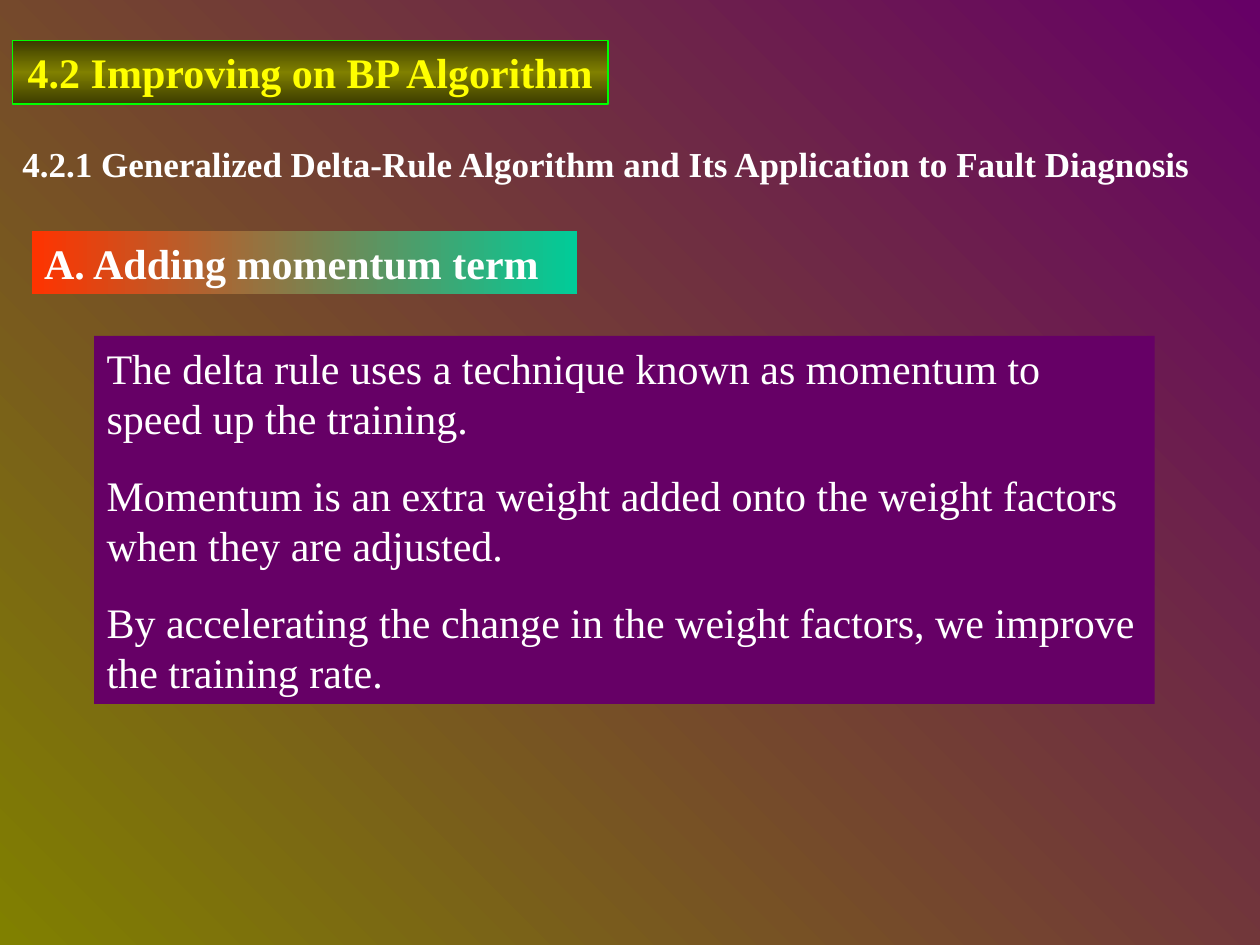
import copy

import pptx
import pptx.dml.color
import pptx.enum.shapes
import pptx.enum.text
import pptx.util

Cm = pptx.util.Cm
Pt = pptx.util.Pt
RGBColor = pptx.dml.color.RGBColor

OLIVE = RGBColor(0x80, 0x80, 0x00)
DARK_OLIVE = RGBColor(0x3B, 0x3B, 0x00)
PURPLE = RGBColor(0x66, 0x00, 0x66)
GREEN = RGBColor(0x00, 0xFF, 0x00)
YELLOW = RGBColor(0xFF, 0xFF, 0x00)
ORANGE = RGBColor(0xFF, 0x33, 0x00)
TEAL = RGBColor(0x00, 0xCC, 0x99)
WHITE = RGBColor(0xFF, 0xFF, 0xFF)


def set_gradient(fill, angle, colors):
    """Spread the colours evenly; the angle runs counter-clockwise."""
    fill.gradient()
    fill.gradient_angle = angle
    first = fill.gradient_stops[0]._gs
    for _ in colors[2:]:
        first.addnext(copy.deepcopy(first))
    for i, (stop, color) in enumerate(zip(fill.gradient_stops, colors)):
        stop.position = i / (len(colors) - 1)
        stop.color.rgb = color


def add_box(left, top, width, height, paragraphs, size, color=WHITE, bold=True):
    """Add a rectangle without fill or line that holds the paragraphs."""
    sp = s.shapes.add_shape(pptx.enum.shapes.MSO_SHAPE.RECTANGLE,
                            Cm(left), Cm(top), Cm(width), Cm(height))
    sp.shadow.inherit = False
    sp.fill.background()
    sp.line.fill.background()
    tf = sp.text_frame
    tf.word_wrap = True
    tf.auto_size = pptx.enum.text.MSO_AUTO_SIZE.SHAPE_TO_FIT_TEXT
    tf.vertical_anchor = pptx.enum.text.MSO_ANCHOR.TOP
    for i, text in enumerate(paragraphs):
        p = tf.add_paragraph() if i else tf.paragraphs[0]
        p.text = text
        p.alignment = pptx.enum.text.PP_ALIGN.LEFT
        if i:
            p.space_before = Pt(15)
        p.font.name = "Times New Roman"
        p.font.size = Pt(size)
        p.font.bold = bold
        p.font.color.rgb = color
    return sp


prs = pptx.Presentation()
prs.slide_width, prs.slide_height = Cm(25.4), Cm(19.05)
s = prs.slides.add_slide(prs.slide_layouts[6])

# Background
set_gradient(s.background.fill, 45, [OLIVE, PURPLE])

# Section title
sp = add_box(0.25, 0.82, 12.01, 1.28, ["4.2 Improving on BP Algorithm"], 24, YELLOW)
set_gradient(sp.fill, 270, [DARK_OLIVE, OLIVE, DARK_OLIVE])
sp.line.color.rgb = GREEN
sp.line.width = Pt(0.75)
sp.text_frame.word_wrap = False
sp.text_frame.paragraphs[0].alignment = pptx.enum.text.PP_ALIGN.CENTER

# Subsection title
add_box(0.2, 2.75, 24.56, 1.1,
        ["4.2.1 Generalized Delta-Rule Algorithm and Its Application to Fault Diagnosis"], 20)

# Explanation
sp = add_box(1.9, 6.77, 21.38, 7.42, [
    "The delta rule uses a technique known as momentum to speed up the training.",
    "Momentum is an extra weight added onto the weight factors when they are adjusted.",
    "By accelerating the change in the weight factors, we improve the training rate.",
], 24, bold=False)
sp.fill.solid()
sp.fill.fore_color.rgb = PURPLE

# Topic heading
sp = add_box(0.64, 4.66, 11, 1.27, ["A. Adding momentum term"], 24)
set_gradient(sp.fill, 0, [ORANGE, TEAL])

prs.save("out.pptx")
